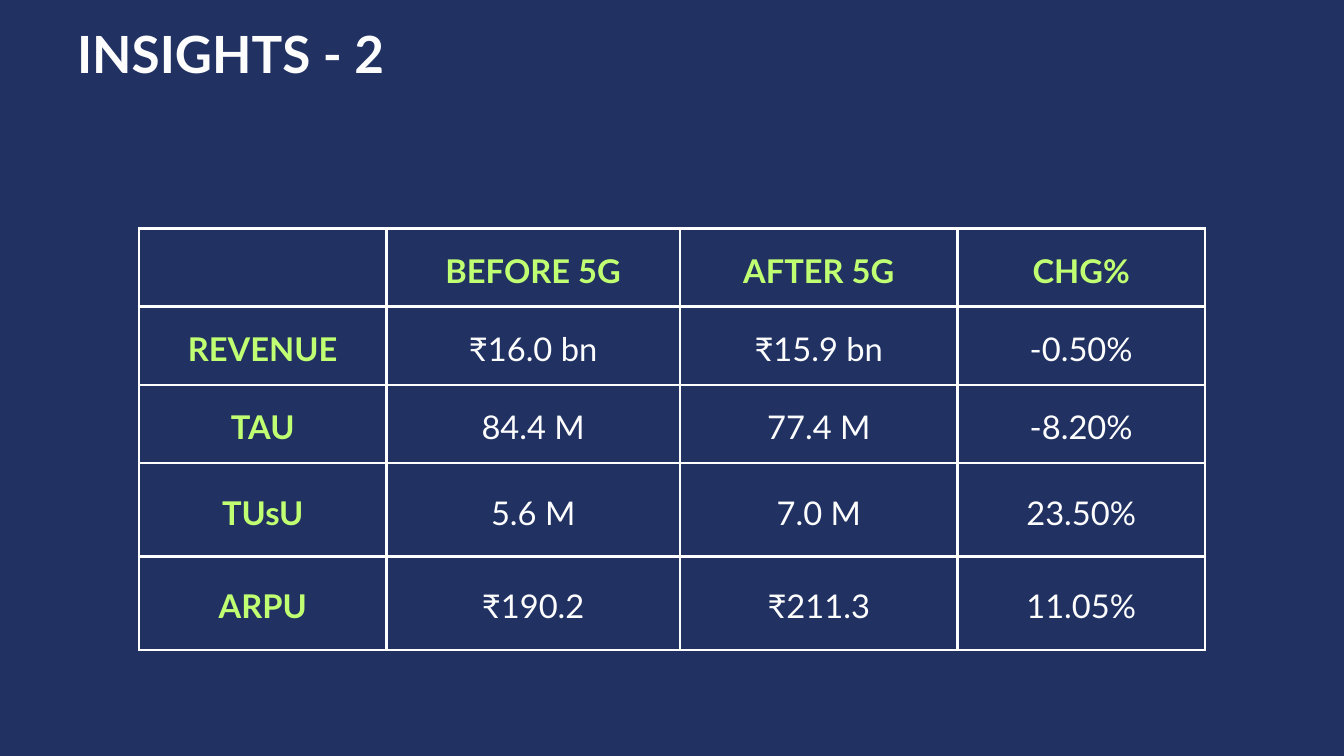
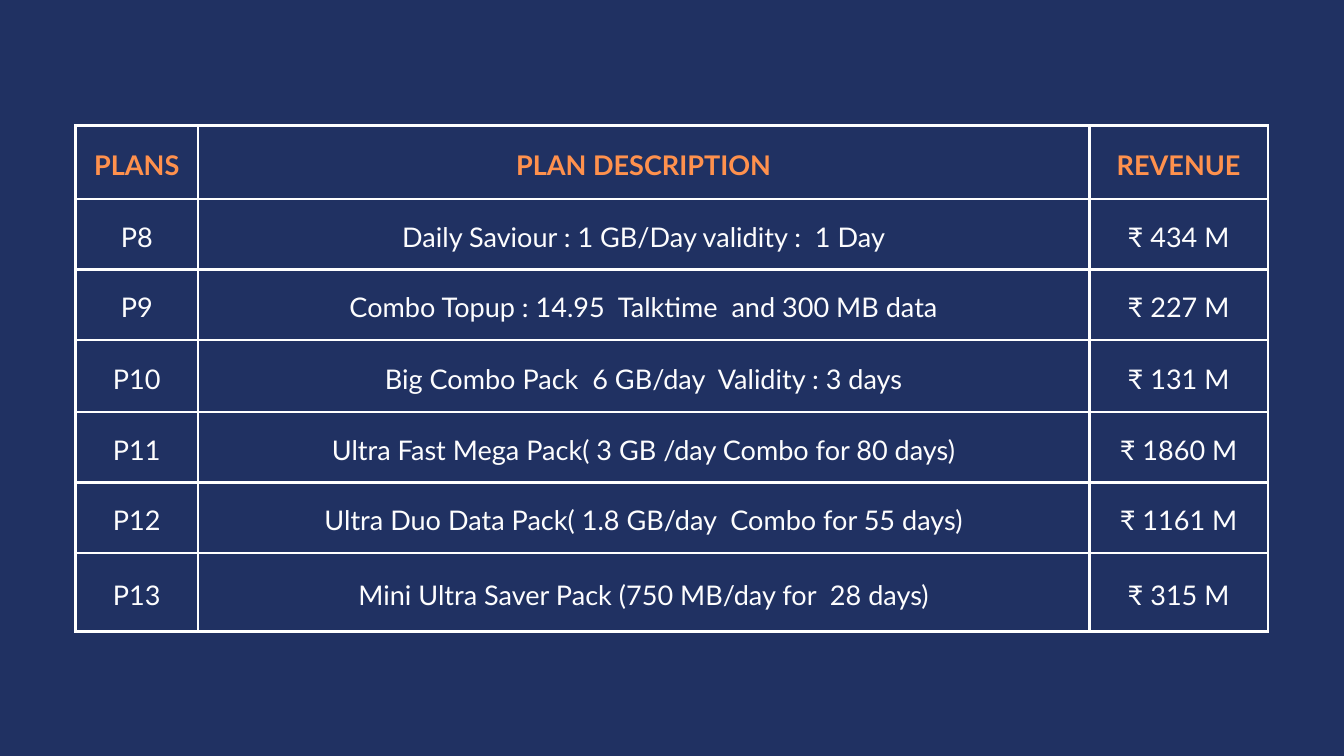
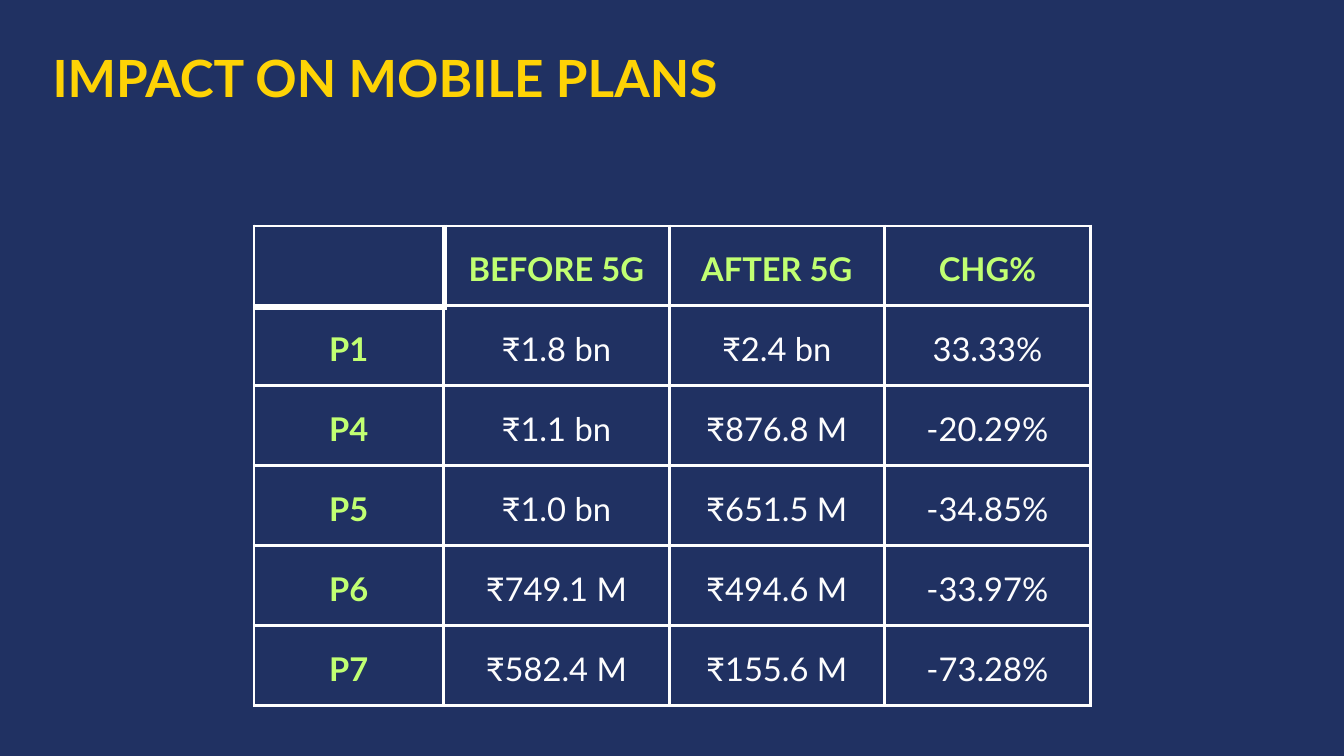
"""Build three slides of tables on the effect of 5G on revenue and mobile plans."""
from lxml.etree import SubElement
from pptx import Presentation
from pptx.dml.color import RGBColor
from pptx.enum.text import MSO_ANCHOR, MSO_AUTO_SIZE, PP_ALIGN
from pptx.oxml.ns import qn
from pptx.util import Inches, Pt

NAVY, WHITE, SOFT_WHITE = "203162", "FFFFFF", "FDFDFE"
LIME, ORANGE, YELLOW = "C1FF72", "FF914D", "FED305"
TITLE_ONLY, BLANK = 5, 6

CELL_FORMAT = {
    "vertical_anchor": MSO_ANCHOR.MIDDLE,
    **{f"margin_{side}": Inches(0.21) for side in ("left", "right", "top", "bottom")},
}
TITLE_FORMAT = {
    "word_wrap": True,
    "auto_size": MSO_AUTO_SIZE.SHAPE_TO_FIT_TEXT,
    "vertical_anchor": MSO_ANCHOR.TOP,
    **{f"margin_{side}": 0 for side in ("left", "right", "top", "bottom")},
}
PLAIN_TABLE = {"first_row": False, "horz_banding": False}
COMPARISON_HEADER = ["", "BEFORE 5G", "AFTER 5G", "CHG%"]


def rgb(value):
    return RGBColor.from_string(value)


def apply_format(target, values):
    for name, value in values.items():
        setattr(target, name, value)


class Deck:
    def __init__(self):
        self.presentation = Presentation()
        self.presentation.slide_width = Inches(20)
        self.presentation.slide_height = Inches(11.25)
        fill = self.presentation.slide_master.background.fill
        fill.solid()
        fill.fore_color.rgb = rgb(NAVY)
        self.slide = None

    def add_slide(self, layout):
        layouts = self.presentation.slide_layouts
        self.slide = self.presentation.slides.add_slide(layouts[layout])

    def add_text(self, frame, text, size, spacing, color, bold):
        paragraph = frame.paragraphs[0]
        apply_format(paragraph, {"alignment": PP_ALIGN.CENTER, "line_spacing": Pt(spacing)})
        run = paragraph.add_run()
        run.text = text
        apply_format(run.font, {"name": "Lato", "size": Pt(size), "bold": bold})
        run.font.color.rgb = rgb(color)

    def title(self, text, top, width, color):
        shape = self.slide.shapes.title
        apply_format(shape, {"left": 0, "top": Inches(top),
                             "width": Inches(width), "height": Inches(0.98)})
        apply_format(shape.text_frame, TITLE_FORMAT)
        self.add_text(shape.text_frame, text, 54.9, 71.3, color, True)

    def border(self, cell):
        properties = cell._tc.get_or_add_tcPr()
        for index, side in enumerate(("lnL", "lnR", "lnT", "lnB")):
            line = SubElement(properties, qn(f"a:{side}"), w=str(Pt(3)))
            fill = SubElement(line, qn("a:solidFill"))
            SubElement(fill, qn("a:srgbClr"), val=WHITE)
            properties.insert(index, line)

    def table(self, left, top, widths, heights, rows,
              size=35, accent=LIME, label_column=True):
        frame = self.slide.shapes.add_table(
            len(heights), len(widths), Inches(left), Inches(top),
            Inches(sum(widths)), Inches(sum(heights)))
        table = frame.table
        apply_format(table, PLAIN_TABLE)
        for column, width in zip(table.columns, widths):
            column.width = Inches(width)
        for row, height in zip(table.rows, heights):
            row.height = Inches(height)
        for row_index, texts in enumerate(rows):
            for column_index, text in enumerate(texts):
                cell = table.cell(row_index, column_index)
                apply_format(cell, CELL_FORMAT)
                cell.fill.background()
                self.border(cell)
                if text:
                    strong = row_index == 0 or (label_column and column_index == 0)
                    self.add_text(cell.text_frame, text, size, size * 1.4,
                                  accent if strong else SOFT_WHITE, strong)


def add_insights(deck):
    deck.add_slide(TITLE_ONLY)
    deck.table(2.07, 3.4, [3.68, 4.37, 4.13, 3.68], [1.16, 1.17, 1.16, 1.39, 1.39], [
        COMPARISON_HEADER,
        ["REVENUE", "₹16.0 bn", "₹15.9 bn", "-0.50%"],
        ["TAU", "84.4 M", "77.4 M", "-8.20%"],
        ["TUsU", "5.6 M", "7.0 M", "23.50%"],
        ["ARPU", "₹190.2", "₹211.3", "11.05%"],
    ])
    deck.title("INSIGHTS - 2", 0.25, 6.87, SOFT_WHITE)


def add_plan_list(deck):
    deck.add_slide(BLANK)
    heights = [1.09, 1.05, 1.05, 1.07, 1.05, 1.05, 1.17]
    deck.table(1.12, 1.87, [1.83, 13.26, 2.66], heights, [
        ["PLANS", "PLAN DESCRIPTION", "REVENUE"],
        ["P8", "Daily Saviour : 1 GB/Day validity :  1 Day", "₹ 434 M"],
        ["P9", "Combo Topup : 14.95  Talktime  and 300 MB data", "₹ 227 M"],
        ["P10", "Big Combo Pack  6 GB/day  Validity : 3 days", "₹ 131 M"],
        ["P11", "Ultra Fast Mega Pack( 3 GB /day Combo for 80 days)", "₹ 1860 M"],
        ["P12", "Ultra Duo Data Pack( 1.8 GB/day  Combo for 55 days)", "₹ 1161 M"],
        ["P13", "Mini Ultra Saver Pack (750 MB/day for  28 days)", "₹ 315 M"],
    ], size=29, accent=ORANGE, label_column=False)


def add_plan_impact(deck):
    deck.add_slide(TITLE_ONLY)
    left, top = 3.78, 3.36
    deck.table(left, top, [2.85], [1.23], [[""]])
    deck.table(left, top, [2.82, 3.36, 3.2, 3.07], [1.19] * 6, [
        COMPARISON_HEADER,
        ["P1", "₹1.8 bn", "₹2.4 bn", "33.33%"],
        ["P4", "₹1.1 bn", "₹876.8 M", "-20.29%"],
        ["P5", "₹1.0 bn", "₹651.5 M", "-34.85%"],
        ["P6", "₹749.1 M", "₹494.6 M", "-33.97%"],
        ["P7", "₹582.4 M", "₹155.6 M", "-73.28%"],
    ])
    deck.title("IMPACT ON MOBILE PLANS", 0.61, 11.47, YELLOW)


def main():
    deck = Deck()
    add_insights(deck)
    add_plan_list(deck)
    add_plan_impact(deck)
    deck.presentation.save("out.pptx")


if __name__ == "__main__":
    main()
